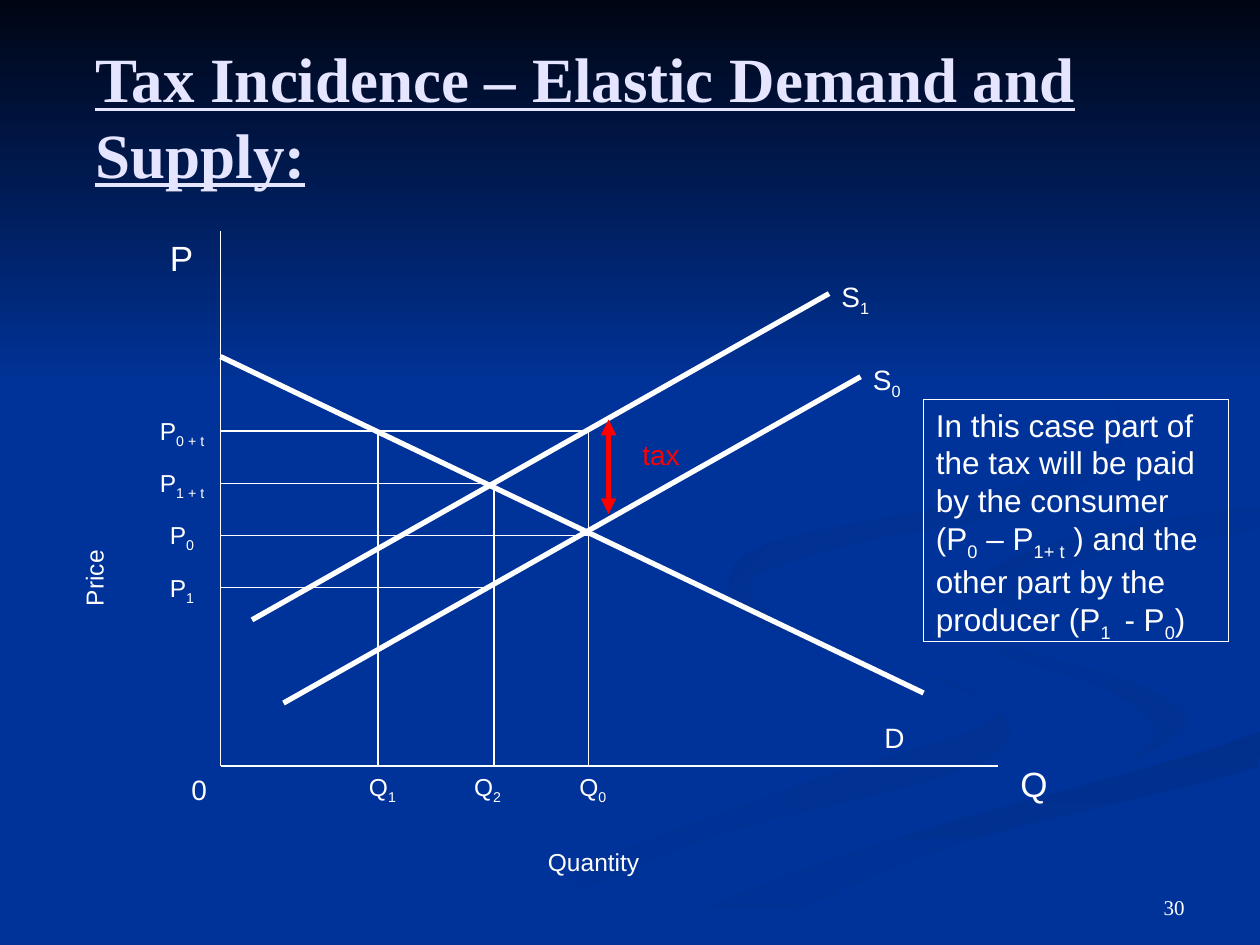
from pptx import Presentation
from pptx.dml.color import RGBColor
from pptx.enum.shapes import MSO_CONNECTOR, MSO_SHAPE
from pptx.enum.text import MSO_ANCHOR, PP_ALIGN
from pptx.oxml.ns import qn
from pptx.util import Inches, Pt
from lxml.etree import SubElement

WHITE, RED, BLUE = "FFFFFF", "FF0000", "003399"

SWIRLS = [
    ([(7.81, 5.53), (6.42, 5.07), (5.75, 4.6), (6.11, 4.99), (7.52, 5.43), (7.83, 5.74),
      (6.16, 6.29), (3, 7.49), (3.61, 7.49), (5.64, 6.65), (7.8, 6.05)], BLUE, "003193", 0),
    ([(9.43, 5.7), (8.7, 5.3), (7.58, 4.98), (7.24, 4.64), (7.55, 5.05), (8.8, 5.49),
      (9.17, 5.8), (8.94, 6.05)], BLUE, "003193", 45),
    ([(5.03, 7.49), (5.71, 7.49), (7.52, 6.72), (9.98, 6.09), (9.98, 5.81), (8.31, 6.29),
      (6.3, 6.93)], "002F8C", BLUE, 90),
    ([(7.25, 4.64), (7.93, 5.09), (9.31, 5.53), (9.11, 6), (7.04, 6.55), (4.77, 7.49),
      (6.96, 6.69), (9.99, 5.81), (9.99, 5.38), (8.32, 4.98), (7.86, 4.53), (9.99, 4.02),
      (9.99, 3.87), (8.08, 4.17)], BLUE, BLUE, 0),
    ([(7.81, 4.6), (8.26, 4.96), (8.06, 4.7), (8.78, 4.39), (9.98, 4.2), (9.98, 4.02),
      (8.49, 4.27)], "003091", BLUE, 45),
    ([(6.83, 4.3), (8.25, 4.02), (8.94, 3.44), (8.43, 2.75), (7.62, 2.33), (8.62, 2.92),
      (8.82, 3.54), (7.63, 3.98), (6.05, 4.33), (5.8, 4.74), (6.22, 5), (5.96, 4.61)],
     "002F8E", BLUE, 45),
]


def color(value):
    return RGBColor.from_string(value)


def blend(before, start, end, after, t):
    return (start + t * (end - before) / 2
            + t ** 2 * (before - 2.5 * start + 2 * end - after / 2)
            + t ** 3 * (1.5 * (start - end) + (after - before) / 2))


def smooth_outline(points, steps=5):
    count = len(points)
    outline = []
    for index in range(count):
        xs, ys = zip(*[points[(index + shift) % count] for shift in (-1, 0, 1, 2)])
        for step in range(steps):
            x, y = blend(*xs, step / steps), blend(*ys, step / steps)
            outline.append((Inches(min(x, 10)), Inches(min(y, 7.5))))
    return outline


def shade(shape, start, end, angle):
    shape.shadow.inherit = False
    shape.line.fill.background()
    shape.fill.gradient()
    shape.fill.gradient_angle = -angle % 360
    for position, (stop, tone) in enumerate(zip(shape.fill.gradient_stops, (start, end))):
        stop.position = position
        stop.color.rgb = color(tone)


def add_backdrop(slide, width, band_height):
    slide.background.fill.solid()
    slide.background.fill.fore_color.rgb = color(BLUE)
    for points, start, end, angle in SWIRLS:
        outline = smooth_outline(points)
        builder = slide.shapes.build_freeform(*outline[0])
        builder.add_line_segments(outline[1:], close=True)
        shade(builder.convert_to_shape(), start, end, angle)
    band = slide.shapes.add_shape(
        MSO_SHAPE.RECTANGLE, 0, 0, Inches(width), Inches(band_height))
    shade(band, "000514", BLUE, 90)


def write(holder, text, size, tone=WHITE, font="Arial", align=PP_ALIGN.LEFT, anchor=MSO_ANCHOR.TOP):
    frame = holder.text_frame
    frame.word_wrap = True
    frame.vertical_anchor = anchor
    paragraph = frame.paragraphs[0]
    paragraph.alignment = align
    for index, part in enumerate(text.split("|")):
        run = paragraph.add_run()
        run.text = part
        run.font.size = Pt(size)
        run.font.name = font
        run.font.color.rgb = color(tone)
        if index % 2:
            run.font._element.set("baseline", "-25000")


def add_text(slide, left, top, width, height, text, size, **style):
    holder = slide.shapes.add_textbox(Inches(left), Inches(top), Inches(width), Inches(height))
    write(holder, text, size, **style)
    return holder


def add_line(slide, start, end, weight=0.75, tone=WHITE, arrows=False):
    line = slide.shapes.add_connector(
        MSO_CONNECTOR.STRAIGHT, *[Inches(value) for value in (*start, *end)])
    line.line.width = Pt(weight)
    line.line.color.rgb = color(tone)
    if arrows:
        for tip in ("a:headEnd", "a:tailEnd"):
            SubElement(line.line._get_or_add_ln(), qn(tip)).set("type", "triangle")
    SubElement(line._element.spPr, qn("a:effectLst"))


def add_title(slide, left, top, width, height):
    title = add_text(slide, left, top, width, height, "Tax Incidence – Elastic Demand and Supply:",
                     36, tone="E5E5FF", font="Times New Roman", anchor=MSO_ANCHOR.MIDDLE)
    font = title.text_frame.paragraphs[0].runs[0].font
    font.bold = font.underline = True


def add_diagram(slide, left, top, width, height):
    def line(x1, y1, x2, y2, **style):
        add_line(slide, (left + x1, top + y1), (left + x2, top + y2), **style)

    def label(x, y, w, text, size, **style):
        add_text(slide, left + x, top + y, w, size / 50 + 0.05, text, size, **style)

    line(0, 0, 0, height)
    line(0, height, width, height)

    for row, price in enumerate(("P|0 + t", "P|1 + t", "P|0", "P|1")):
        y = 1.59 + row * 0.415
        line(2.08 if row % 2 else 2.92, y, 0, y)
        label(-0.58 if row < 2 else -0.5, y - 0.17, 0.67 if row < 2 else 0.5, price, 14)

    quantities = [("Q|1", 1.25, 1.59), ("Q|2", 2.17, 2), ("Q|0", 2.92, 1.59)]
    for column, (quantity, x, y) in enumerate(quantities):
        line(x, y, x, height)
        label(1.08 + column * 0.835, height, 0.5, quantity, 14)

    line(0, 1, 5.58, 3.67, weight=3)
    label(5.17, 3.84, 0.5, "D", 16)
    for supply, x, y in (("S|0", 0.5, 3.75), ("S|1", 0.25, 3.09)):
        line(x, y, x + 4.58, y - 2.59, weight=3)
        label(x + 4.58, y - 2.75, 0.58, supply, 16)
    line(3.08, 1.5, 3.08, 2.25, weight=3, tone=RED, arrows=True)
    label(3.25, 1.59, 0.58, "tax", 16, tone=RED)

    label(-0.33, height, 0.33, "0", 16)
    label(-0.5, 0, 0.5, "P", 20)
    label(6.25, 4.17, 0.5, "Q", 20)
    label(2.5, 4.84, 1.42, "Quantity", 14)
    price_axis = add_text(slide, left - 1.17, top + 1.5, 0.43, 1.58, "Price", 14)
    price_axis.text_frame._txBody.bodyPr.set("vert", "vert270")


def add_note(slide, left, top, width, height):
    note = slide.shapes.add_shape(
        MSO_SHAPE.RECTANGLE, Inches(left), Inches(top), Inches(width), Inches(height))
    note.shadow.inherit = False
    note.fill.background()
    note.line.color.rgb = color(WHITE)
    note.line.width = Pt(0.75)
    write(note, "In this case part of the tax will be paid by the consumer (P|0| – P|1+ t| ) "
                "and the other part by the producer (P|1 | - P|0|)", 18)


def main():
    deck = Presentation()
    deck.slide_width, deck.slide_height = Inches(10), Inches(7.5)
    slide = deck.slides.add_slide(deck.slide_layouts[6])
    add_backdrop(slide, 10, 3.08)
    add_title(slide, 0.66, 0.38, 8.7, 1.07)
    add_diagram(slide, 1.75, 1.83, 6.17, 4.25)
    add_text(slide, 7.17, 6.83, 2.33, 0.52, "30", 12, font="Times New Roman",
             align=PP_ALIGN.RIGHT, anchor=MSO_ANCHOR.BOTTOM)
    add_note(slide, 7.33, 3.17, 2.42, 1.92)
    deck.save("out.pptx")


if __name__ == "__main__":
    main()
